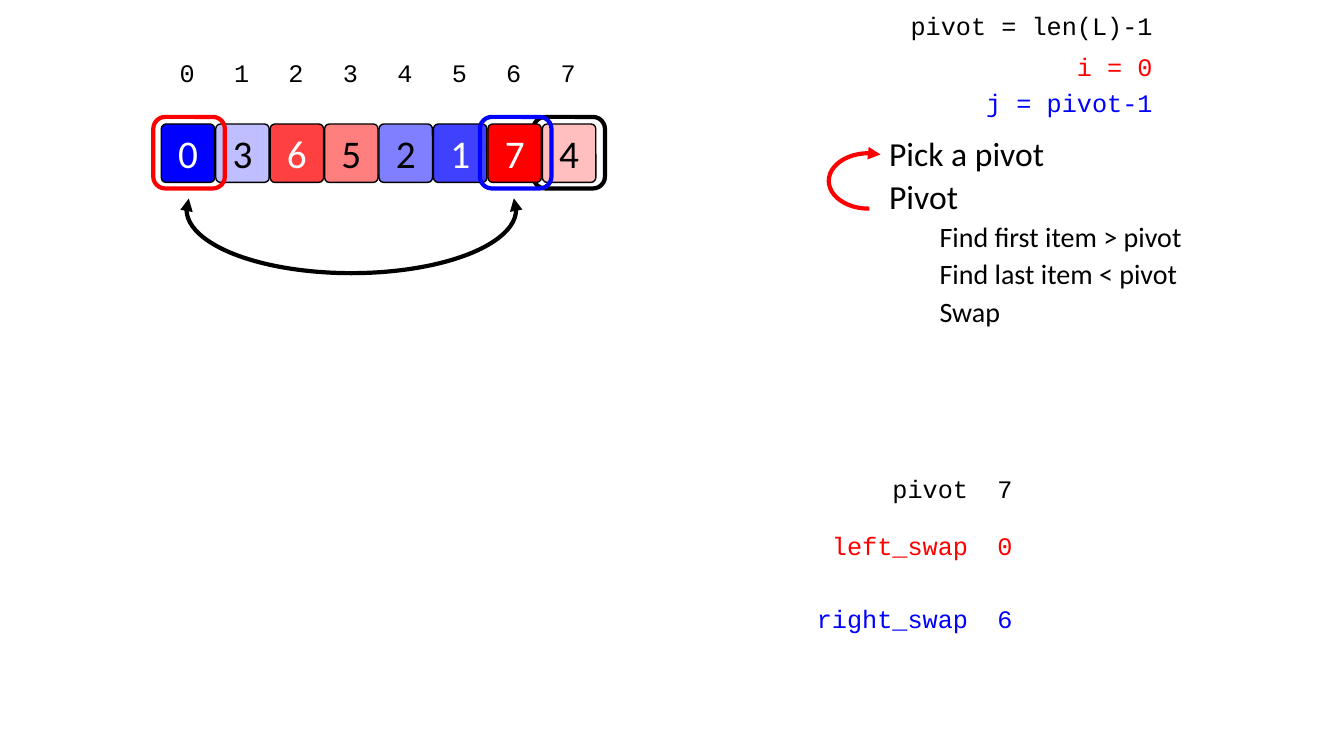
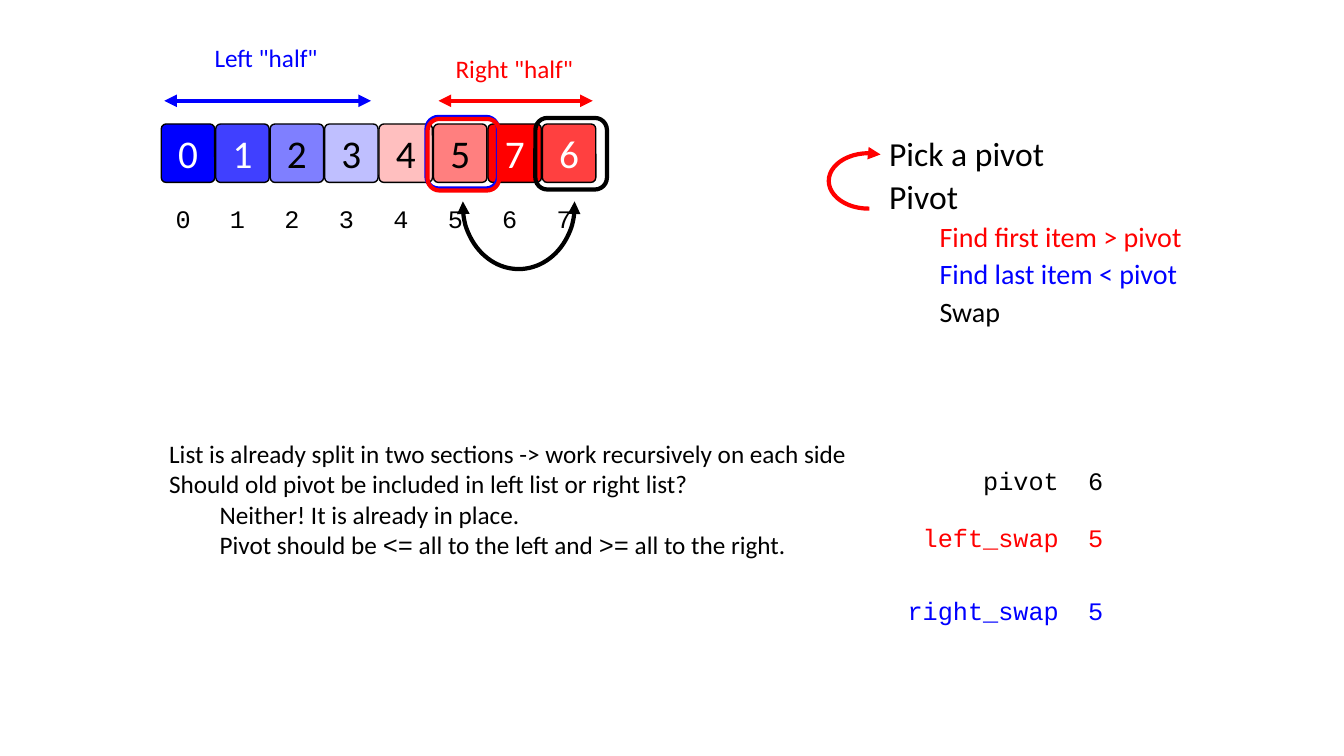
import lxml.etree
import pptx
import pptx.dml.color
import pptx.enum.shapes
import pptx.enum.text
import pptx.oxml.ns
import pptx.util

SCALE = 9144  # EMU per px, 100 px to the inch
BLACK = pptx.dml.color.RGBColor(0x00, 0x00, 0x00)
WHITE = pptx.dml.color.RGBColor(0xFF, 0xFF, 0xFF)
RED = pptx.dml.color.RGBColor(0xFF, 0x00, 0x00)
BLUE = pptx.dml.color.RGBColor(0x00, 0x00, 0xFF)
BODY, MONO = "Calibri", "Courier New"
SHAPE = pptx.enum.shapes.MSO_SHAPE
ALIGN = pptx.enum.text.PP_ALIGN

CELL_X, CELL_Y, CELL_W, CELL_H, PITCH = 160, 123, 53, 58, 54
RING = 71
CHAR_W, CHAR_PAD = 15, 21  # width of a monospaced label: pad plus characters


def px(n):
    return pptx.util.Emu(n * SCALE)


def add_sub(parent, tag, **attrs):
    return lxml.etree.SubElement(parent, pptx.oxml.ns.qn(tag), attrs)


def add_text(p, text, font=BODY, size=18, color=BLACK, align=None,
             indent=0, spacing=None, before=None):
    """Append a formatted run to p and set the paragraph format."""
    r = p.add_run()
    r.text = text
    r.font.name = font
    r.font.size = pptx.util.Pt(size)
    r.font.color.rgb = color
    p.alignment = align
    p.line_spacing = spacing
    if before is not None:
        p.space_before = pptx.util.Pt(before)
    if indent:
        p._p.get_or_add_pPr().set("marL", str(px(indent)))


class Deck:
    def __init__(self):
        self.prs = pptx.Presentation()
        self.prs.slide_width, self.prs.slide_height = px(1333), px(750)
        self.s = None

    def new_slide(self):
        self.s = self.prs.slides.add_slide(self.prs.slide_layouts[6])

    # Basic elements
    def box(self, x, y, w, h, wrap=True):
        tf = self.s.shapes.add_textbox(px(x), px(y), px(w), px(h)).text_frame
        tf.word_wrap = wrap
        return tf

    def label(self, x, y, w, text, **fmt):
        add_text(self.box(x, y, w, 40, wrap=False).paragraphs[0], text, **fmt)

    def code(self, right, y, text, color=BLACK):
        w = CHAR_PAD + CHAR_W * len(text)
        self.label(right - w, y, w, text, font=MONO, color=color, align=ALIGN.RIGHT)

    def shape(self, kind, x, y, w, h, color, width):
        sp = self.s.shapes.add_shape(kind, px(x), px(y), px(w), px(h))
        sp.shadow.inherit = False
        sp.fill.background()
        sp.line.color.rgb = color
        sp.line.width = pptx.util.Pt(width)
        return sp

    def arrowheads(self, sp, *ends):
        ln = sp.line._get_or_add_ln()
        for end in ends:
            add_sub(ln, end, type="triangle")

    def arc(self, x, y, w, h, angles, color, *ends):
        sp = self.shape(SHAPE.ARC, x, y, w, h, color, 3)
        for i, degrees in enumerate(angles):
            sp.adjustments[i] = degrees * 0.6  # 60000 units a degree
        self.arrowheads(sp, *ends)

    def swap_arc(self, x, y, w):
        self.arc(x, y, w, 127, (356.2, 183.74), BLACK, "a:headEnd", "a:tailEnd")

    def span(self, x1, x2, y, color):
        c = self.s.shapes.add_connector(
            pptx.enum.shapes.MSO_CONNECTOR.STRAIGHT, px(x1), px(y), px(x2), px(y))
        c.line.color.rgb = color
        c.line.width = pptx.util.Pt(3)
        self.arrowheads(c, "a:headEnd", "a:tailEnd")
        add_sub(c._element.spPr, "a:effectLst")

    # List cells: small values blue, large values red, paler near the middle
    def cell(self, i, value):
        sp = self.shape(SHAPE.ROUNDED_RECTANGLE, CELL_X + PITCH * i, CELL_Y,
                        CELL_W, CELL_H, BLACK, 1)
        sp.adjustments[0] = 0.09
        color, alpha = (BLUE, 100 - 25 * value) if value < 4 else (RED, 25 * (value - 3))
        sp.fill.solid()
        sp.fill.fore_color.rgb = color
        if alpha < 100:
            clr = sp._element.spPr.find(".//" + pptx.oxml.ns.qn("a:srgbClr"))
            add_sub(clr, "a:alpha", val=str(alpha * 1000))
        tf = sp.text_frame
        tf.vertical_anchor = pptx.enum.text.MSO_ANCHOR.MIDDLE
        add_text(tf.paragraphs[0], str(value), size=28, align=ALIGN.CENTER,
                 color=WHITE if alpha >= 75 else BLACK)

    def cells(self, values, skip):
        for i, value in enumerate(values):
            if i != skip:
                self.cell(i, value)

    def ring(self, x, y, color):
        self.shape(SHAPE.ROUNDED_RECTANGLE, x, y, RING, RING, color, 3)

    def indices(self, right, y):
        for i in range(8):
            self.code(right + PITCH * i, y, str(i))

    # Panels on both slides
    def steps(self, first_color=BLACK, last_color=BLACK):
        tf = self.box(822, 131, 500, 203)
        rows = [("Pick a pivot", 50, 24, BLACK), ("Pivot", 50, 24, BLACK),
                ("Find first item > pivot", 100, 20, first_color),
                ("Find last item < pivot", 100, 20, last_color),
                ("Swap", 100, 20, BLACK)]
        for n, (text, indent, size, color) in enumerate(rows):
            p = tf.add_paragraph() if n else tf.paragraphs[0]
            add_text(p, text, size=size, color=color, indent=indent,
                     spacing=0.9, before=5 if n else 0)
        self.arc(822, 152, 79, 55, (88.16, 294.36), RED, "a:tailEnd")

    def variables(self, right, top, pivot, left_swap, right_swap):
        rows = [("pivot", pivot, 0, BLACK), ("left_swap", left_swap, 56, RED),
                ("right_swap", right_swap, 129, BLUE)]
        for name, value, dy, color in rows:
            self.code(right, top + dy, name, color)
            self.code(right + 44, top + dy, str(value), color)


def swap_slide(d):
    values = [0, 3, 6, 5, 2, 1, 7, 4]
    d.new_slide()
    d.cells(values, skip=6)
    d.steps()
    d.ring(529, 116, BLACK)
    d.variables(970, 465, 7, 0, 6)
    d.ring(152, 116, RED)
    d.swap_arc(185, 144, 327)
    d.cell(6, values[6])
    d.ring(476, 116, BLUE)
    d.indices(203, 52)
    # Starting values
    d.code(1153, 5, "pivot = len(L)-1")
    d.code(1153, 46, "i = 0", RED)
    d.code(1153, 82, "j = pivot-1", BLUE)


def halves_slide(d):
    values = [0, 1, 2, 3, 4, 5, 7, 6]
    d.new_slide()
    d.cells(values, skip=7)
    d.steps(RED, BLUE)
    # The two sections
    d.span(163, 368, 100, BLUE)
    d.span(435, 588, 100, RED)
    d.label(203, 37, 124, 'Left "half"', color=BLUE)
    d.label(442, 48, 138, 'Right "half"', color=RED)
    # Explanation
    tf = d.box(158, 430, 700, 222)
    lines = [
        (0, [("List is already split in two sections -> work recursively on each side", BODY)]),
        (0, [("Should old pivot be included in left list or right list?", BODY)]),
        (50, [("Neither! It is already in place.", BODY)]),
        (50, [("Pivot should be ", BODY), ("<=", MONO), (" all to the left and ", BODY),
              (">=", MONO), (" all to the right.", BODY)]),
    ]
    for n, (indent, runs) in enumerate(lines):
        p = tf.add_paragraph() if n else tf.paragraphs[0]
        for text, font in runs:
            add_text(p, text, font=font, indent=indent)
    d.variables(1060, 457, 6, 5, 5)
    # Markers
    d.ring(531, 117, BLACK)
    d.ring(423, 116, BLUE)
    d.ring(424, 118, RED)
    d.swap_arc(459, 140, 111)
    d.cell(7, values[7])
    d.indices(199, 197)


def main():
    d = Deck()
    swap_slide(d)
    halves_slide(d)
    d.prs.save("out.pptx")


if __name__ == "__main__":
    main()
